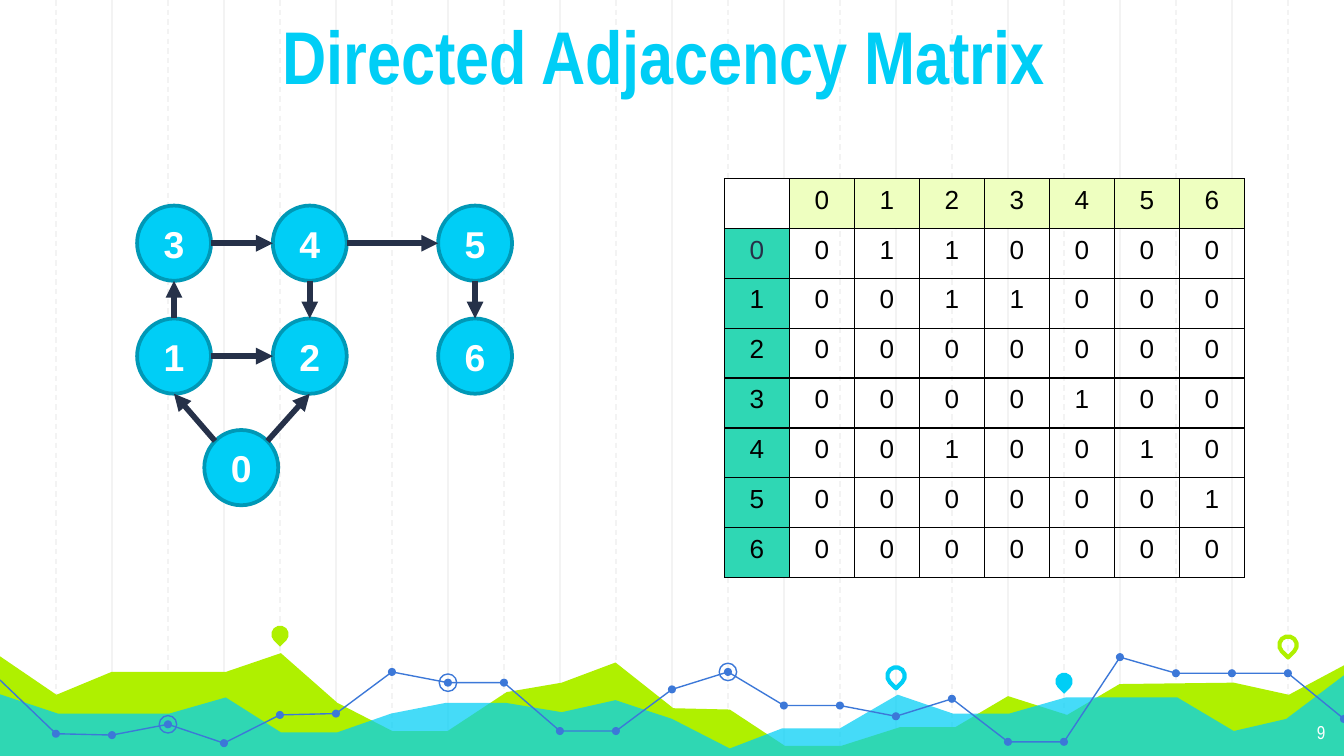
from dataclasses import dataclass

from lxml import etree
from pptx import Presentation
from pptx import util as u
from pptx.dml.color import RGBColor
from pptx.enum import dml, shapes, text
from pptx.oxml import ns


@dataclass(frozen=True)
class Theme:
    """Colours, fonts and type sizes of the slide."""
    cyan: str = "00CEF6"
    rim: str = "0098B6"
    lime: str = "AFF000"
    pale_lime: str = "EEFFC0"
    teal: str = "2FD7B4"
    navy: str = "263149"
    blue: str = "3C78D8"
    grid: str = "F3F3F3"
    white: str = "FFFFFF"
    black: str = "000000"
    heading_font: str = "Arial Narrow"
    body_font: str = "Arial"
    title_size: int = 40
    node_size: int = 20
    cell_size: int = 14
    number_size: int = 10


THEME = Theme()
INSET = u.Inches(0.1)
STEP = 10 / 24

NODES = {3: (0, 0), 4: (1.01, 0), 5: (2.24, 0), 1: (0, 0.84), 2: (1.01, 0.84),
         6: (2.24, 0.84), 0: (0.5, 1.67)}
NODE_W, NODE_H = 0.55, 0.56
EDGES = [(0, 2), (0, 1), (1, 2), (1, 3), (4, 2), (3, 4), (4, 5), (5, 6)]

LIME_HILLS = [
    (-0.02, 0.27), (0.42, 0.57), (0.83, 0.4), (1.68, 0.4), (2.09, 0.26), (2.51, 0.63),
    (2.92, 0.84), (3.33, 0.84), (3.77, 0.55), (4.18, 0.48), (4.58, 0.33), (5.01, 0.67),
    (5.43, 0.68), (5.84, 0.95), (6.26, 0.95), (6.7, 0.81), (7.11, 0.81), (7.5, 0.58),
    (7.94, 0.72), (8.33, 0.49), (9.18, 0.48), (9.59, 0.57), (10.02, 0.34),
    (10.01, 1.04), (-0.03, 1.04)]
CYAN_HILLS = [
    (-0.02, 0.56), (0.43, 0.71), (1.26, 0.71), (1.68, 0.59), (2.09, 0.85), (2.51, 0.85),
    (2.91, 0.71), (3.32, 0.63), (3.76, 0.63), (4.18, 0.7), (4.58, 0.61), (5, 0.75),
    (5.43, 0.97), (5.82, 0.82), (6.25, 0.82), (6.68, 0.57), (7.09, 0.71), (7.51, 0.71),
    (7.93, 0.59), (8.76, 0.59), (9.18, 0.84), (9.57, 0.75), (10.02, 0.41),
    (10.02, 1.05), (-0.03, 1.05)]
TREND = [0.46, 0.86, 0.87, 0.79, 0.93, 0.72, 0.71, 0.4, 0.48, 0.48, 0.84, 0.84, 0.53,
         0.4, 0.65, 0.65, 0.73, 0.6, 0.92, 0.92, 0.29, 0.41, 0.41, 0.41, 0.75]
TREND_STRETCHES = [(0, 11), (11, 20), (20, 24)]
RINGED_STEPS = (3, 8, 13)
PINS = [(5, 0.12, THEME.lime, True), (16, 0.43, THEME.cyan, False),
        (19, 0.47, THEME.cyan, True), (23, 0.2, THEME.lime, False)]


def rgb(value):
    """Turn a hex string into a colour."""
    return RGBColor.from_string(value)


def set_all(target, values):
    """Set each attribute named in a dict."""
    for key, value in values.items():
        setattr(target, key, value)


def paint(shape, fill=None, line=None, width=0.75):
    """Give a shape its fill and outline, without shadow."""
    shape.shadow.inherit = False
    if fill:
        shape.fill.solid()
        shape.fill.fore_color.rgb = rgb(fill)
    else:
        shape.fill.background()
    if line:
        shape.line.color.rgb = rgb(line)
        shape.line.width = u.Pt(width)
    else:
        shape.line.fill.background()
    return shape


def write(frame, words, size, color, font=THEME.body_font, bold=False,
          align=text.PP_ALIGN.CENTER):
    """Write one formatted line into a text frame."""
    line = frame.paragraphs[0]
    line.alignment = align
    run = line.add_run()
    run.text = words
    set_all(run.font, {"name": font, "size": u.Pt(size), "bold": bold})
    run.font.color.rgb = rgb(color)


def add_line(parent, start, end, color, width):
    """Draw a straight connector between two points in inches."""
    line = parent.add_connector(shapes.MSO_CONNECTOR.STRAIGHT,
                                *(u.Inches(v) for v in (*start, *end)))
    line.line.color.rgb = rgb(color)
    line.line.width = u.Pt(width)
    etree.SubElement(line.element.spPr, ns.qn("a:effectLst"))
    return line


def add_centred(parent, kind, center, size):
    """Add a preset shape of equal sides around a centre."""
    x, y = center
    return parent.add_shape(kind, u.Inches(x - size / 2), u.Inches(y - size / 2),
                            u.Inches(size), u.Inches(size))


def add_outline(parent, points, box, closed):
    """Add a freeform through points given relative to a box."""
    first, *rest = [(u.Inches(box[0] + x), u.Inches(box[1] + y)) for x, y in points]
    builder = parent.build_freeform(*first)
    builder.add_line_segments(rest, close=closed)
    return builder.convert_to_shape()


def draw_grid(slide, box):
    """Rule the box with alternating dashed and solid verticals."""
    left, top, width, height = box
    group = slide.shapes.add_group_shape().shapes
    for i in range(1, 24):
        x = left + i * width / 24
        line = add_line(group, (x, top), (x, top + height), THEME.grid, 0.75)
        if i % 2:
            line.line.dash_style = dml.MSO_LINE.DASH


def draw_landscape(slide, box):
    """Draw hills, map pins and the dotted trend line."""
    left, top = box[:2]
    paint(add_outline(slide.shapes, LIME_HILLS, box, True), THEME.lime)
    water = paint(add_outline(slide.shapes, CYAN_HILLS, box, True), THEME.cyan)
    color = water.element.spPr.find(".//" + ns.qn("a:srgbClr"))
    etree.SubElement(color, ns.qn("a:alpha"), val="73000")
    for step, y, color, solid in PINS:
        pin = add_centred(slide.shapes, shapes.MSO_SHAPE.TEAR,
                          (left + step * STEP, top + y), 0.13)
        pin.rotation = 135
        paint(pin, color if solid else None, None if solid else color, 2.25)

    trend = [(i * STEP, y) for i, y in enumerate(TREND)]
    lines = slide.shapes.add_group_shape().shapes
    for start, end in TREND_STRETCHES:
        paint(add_outline(lines, trend[start:end + 1], box, False), line=THEME.blue)
    dots = slide.shapes.add_group_shape().shapes
    for i, (x, y) in enumerate(trend[1:], 1):
        center = (left + x, top + y)
        paint(add_centred(dots, shapes.MSO_SHAPE.OVAL, center, 0.06), THEME.blue)
        if i in RINGED_STEPS:
            paint(add_centred(slide.shapes, shapes.MSO_SHAPE.OVAL, center, 0.13),
                  line=THEME.blue)


def place_title(slide, box):
    """Place the title in its placeholder, in front of the backdrop."""
    title = slide.shapes.title
    slide.shapes.element.append(title.element)
    set_all(title, dict(zip(("left", "top", "width", "height"), map(u.Inches, box))))
    set_all(title.text_frame, {
        "vertical_anchor": text.MSO_ANCHOR.BOTTOM, "auto_size": text.MSO_AUTO_SIZE.NONE,
        "margin_top": INSET, "margin_bottom": INSET})
    write(title.text_frame, "Directed Adjacency Matrix ", THEME.title_size,
          THEME.cyan, THEME.heading_font, True)


def place_page_number(slide, box):
    """Place the page number in the corner."""
    frame = slide.shapes.add_textbox(*map(u.Inches, box)).text_frame
    set_all(frame, {"word_wrap": True, "margin_top": INSET, "margin_bottom": INSET})
    write(frame, "9", THEME.number_size, THEME.white, THEME.heading_font,
          align=text.PP_ALIGN.RIGHT)


def draw_graph(slide, box):
    """Draw the numbered nodes and the arrows between them."""
    left, top = box[:2]
    for label, (x, y) in NODES.items():
        node = slide.shapes.add_shape(
            shapes.MSO_SHAPE.OVAL,
            *map(u.Inches, (left + x, top + y, NODE_W, NODE_H)))
        paint(node, THEME.cyan, THEME.rim, 2)
        set_all(node.text_frame, {"vertical_anchor": text.MSO_ANCHOR.MIDDLE,
                                  "margin_left": 0, "margin_right": 0})
        write(node.text_frame, str(label), THEME.node_size, THEME.white, bold=True)

    def rim_point(label, across, down):
        x, y = NODES[label]
        return (left + x + NODE_W / 2 * (1 + across), top + y + NODE_H / 2 * (1 + down))

    for source, target in EDGES:
        across, down = ((b > a) - (b < a) for a, b in zip(NODES[source], NODES[target]))
        reach = 0.71 if across and down else 1
        arrow = add_line(slide.shapes, rim_point(source, across * reach, down * reach),
                         rim_point(target, 0 if down else -across, -down), THEME.navy, 3)
        outline = arrow.element.spPr.find(ns.qn("a:ln"))
        etree.SubElement(outline, ns.qn("a:tailEnd"), type="triangle")


def border_cell(cell):
    """Draw a thin black border on all sides of a cell."""
    properties = cell._tc.get_or_add_tcPr()
    for i, side in enumerate(("a:lnL", "a:lnR", "a:lnT", "a:lnB")):
        edge = etree.Element(ns.qn(side), w=str(u.Pt(0.75)))
        fill = etree.SubElement(edge, ns.qn("a:solidFill"))
        etree.SubElement(fill, ns.qn("a:srgbClr"), val=THEME.black)
        properties.insert(i, edge)


def fill_matrix(slide, box):
    """Fill the adjacency matrix from the edges of the graph."""
    labels = sorted(NODES)
    rows = [["", *labels]] + [[a, *(int((a, b) in EDGES) for b in labels)] for a in labels]
    matrix = slide.shapes.add_table(len(rows), len(rows), *map(u.Inches, box)).table
    for r, row in enumerate(rows):
        for c, value in enumerate(row):
            cell = matrix.cell(r, c)
            if r and c:
                cell.fill.background()
            else:
                fill = THEME.teal if r else THEME.pale_lime if c else THEME.white
                cell.fill.solid()
                cell.fill.fore_color.rgb = rgb(fill)
            border_cell(cell)
            if value != "":
                color = THEME.navy if (r, c) == (1, 0) else THEME.black
                write(cell.text_frame, str(value), THEME.cell_size, color)
    corner = matrix.cell(0, 0)._tc.find(".//" + ns.qn("a:p"))
    etree.SubElement(corner, ns.qn("a:endParaRPr"), sz=str(THEME.cell_size * 100))


deck = Presentation()
set_all(deck, {"slide_width": u.Inches(10), "slide_height": u.Inches(10) * 9 // 16})
page = deck.slides.add_slide(deck.slide_layouts[5])
draw_grid(page, (0, 0, 10, 5.65))
draw_landscape(page, (0, 4.6, 10, 1.05))
place_page_number(page, (9.36, 5.28, 0.6, 0.35))
place_title(page, (0, 0.06, 10, 0.78))
draw_graph(page, (1.02, 1.53, 2.79, 2.23))
fill_matrix(page, (5.39, 1.33, 3.87, 2.97))
deck.save("out.pptx")
